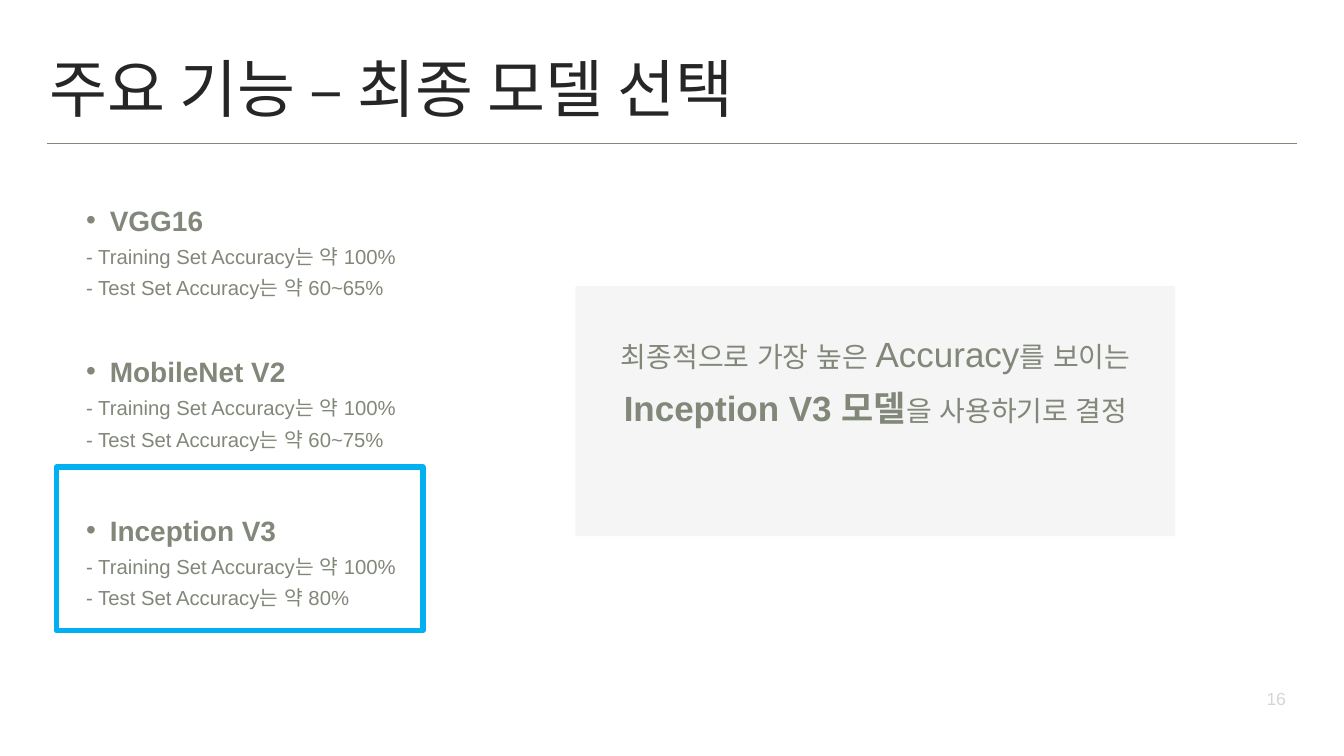
from lxml import etree
from pptx import Presentation
from pptx import util as u
from pptx.dml.color import RGBColor
from pptx.enum import shapes, text
from pptx.oxml.ns import qn

W, H = 26.67, 15
COLORS = {"title": "262626", "body": "818779", "accent": "00B0F0",
          "panel": "F2F2F2", "number": "D5D5D5"}
BODY, HEAD = "Arial", "Noto Sans CJK KR"
TITLE = "주요 기능 – 최종 모델 선택"
NUMBER = "16"
MODELS = [
    ("VGG16", "100%", "60~65%", 3.77),
    ("MobileNet V2", "100%", "60~75%", 6.77),
    ("Inception V3", "100%", "80%", 9.92),
]
DECISION = [
    ("최종적으로 가장 높은 ", 40, False),
    ("Accuracy", 50, False),
    ("를 보이는", 40, False),
    (" ", 50, False),
    ("Inception V3 모델", 50, True),
    ("을 사용하기로 결정", 40, False),
]
LEFT = 1.65
INDENT = 0.47
PANEL = (11.42, 5.68, 11.9, 4.96)


def rgb(name):
    return RGBColor.from_string(COLORS[name])


def inches(box):
    return [u.Inches(v) for v in box]


def add_text(s, box, paragraphs, color="body", font=BODY, spacing=1.3,
             align=text.PP_ALIGN.LEFT, wrap=True):
    tf = s.shapes.add_textbox(*inches(box)).text_frame
    tf.word_wrap = wrap
    tf.vertical_anchor = text.MSO_ANCHOR.TOP
    tf.margin_left = tf.margin_right = u.Inches(0.06)
    tf.margin_top = tf.margin_bottom = u.Inches(0.06)
    for i, runs in enumerate(paragraphs):
        p = tf.paragraphs[0] if i == 0 else tf.add_paragraph()
        p.alignment = align
        p.line_spacing = spacing
        for words, size, bold in runs:
            r = p.add_run()
            r.text = words
            r.font.size = u.Pt(size)
            r.font.bold = bold
            r.font.name = font
            r.font.color.rgb = rgb(color)
            ea = etree.SubElement(r.font._element, qn("a:ea"))
            ea.set("typeface", font)
    return tf


def add_bullet(p):
    pPr = p._p.get_or_add_pPr()
    pPr.set("marL", str(u.Inches(INDENT)))
    pPr.set("indent", str(-u.Inches(INDENT)))
    etree.SubElement(pPr, qn("a:buFont")).set("typeface", BODY)
    etree.SubElement(pPr, qn("a:buChar")).set("char", "•")


def add_box(s, box):
    sp = s.shapes.add_shape(shapes.MSO_SHAPE.RECTANGLE, *inches(box))
    sp.shadow.inherit = False
    return sp


def main():
    prs = Presentation()
    prs.slide_width, prs.slide_height = inches((W, H))
    s = prs.slides.add_slide(prs.slide_layouts[6])

    add_text(s, (0.92, 1.09, 25.52, 2.08), [[(TITLE, 90, False)]],
             "title", HEAD, 0.9)
    rule = s.shapes.add_connector(shapes.MSO_CONNECTOR.STRAIGHT,
                                  *inches((0.93, 2.85, 25.73, 2.85)))
    rule.line.color.rgb = rgb("body")
    rule.line.width = u.Pt(2)
    etree.SubElement(rule._element.spPr, qn("a:effectLst"))

    frame = add_box(s, (1.12, 9.27, 7.27, 3.24))
    frame.fill.background()
    frame.line.color.rgb = rgb("accent")
    frame.line.width = u.Pt(8)

    panel = add_box(s, PANEL)
    panel.fill.solid()
    panel.fill.fore_color.rgb = rgb("panel")
    panel.line.fill.background()
    fill = panel._element.spPr.find(qn("a:solidFill"))
    etree.SubElement(fill[0], qn("a:alpha")).set("val", "70000")

    add_text(s, (11.73, 6.28, 11.29, 2.4), [DECISION],
             align=text.PP_ALIGN.CENTER)

    for name, train, test, top in MODELS:
        tf = add_text(s, (LEFT, top, 8, 2.3), [
            [(name, 40, True)],
            [(f"- Training Set Accuracy는 약 {train}", 29, False)],
            [(f"- Test Set Accuracy는 약 {test}", 29, False)],
        ])
        add_bullet(tf.paragraphs[0])

    add_text(s, (25.07, 13.6, 0.51, 0.53), [[(NUMBER, 25, False)]], "number",
             spacing=1, align=text.PP_ALIGN.CENTER, wrap=False)
    prs.save("out.pptx")


if __name__ == "__main__":
    main()
